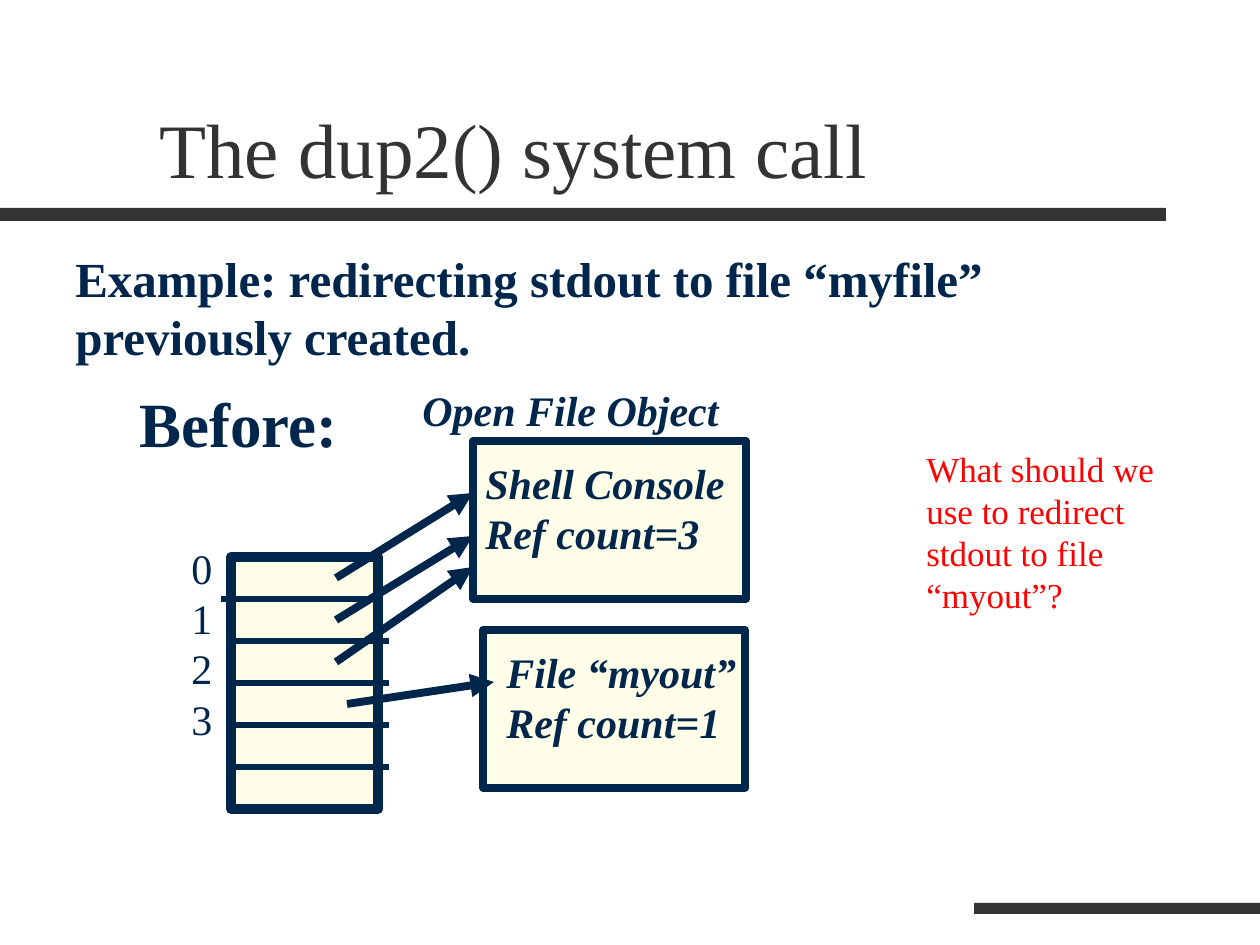
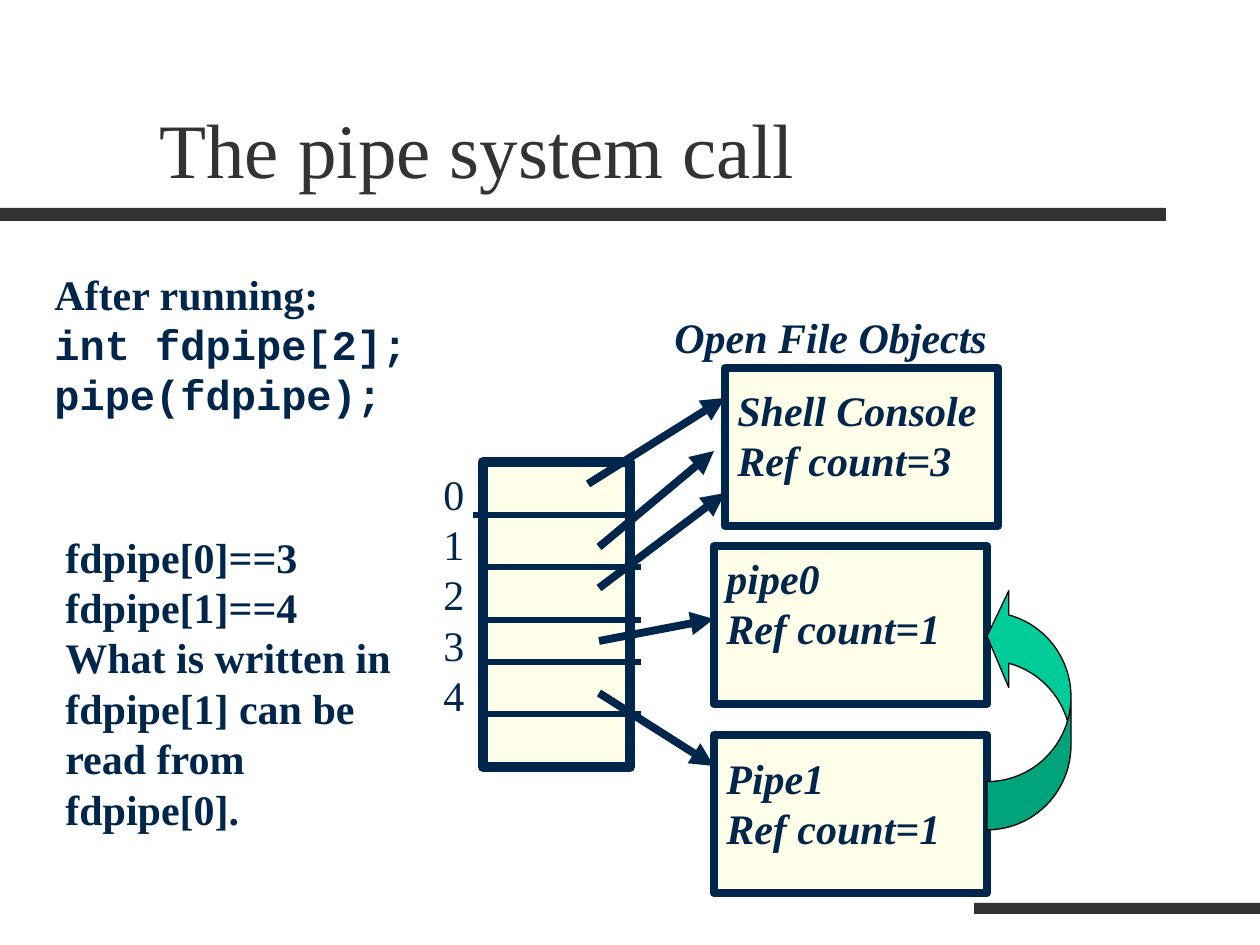
from lxml import etree
from pptx import Presentation
from pptx.dml.color import RGBColor
from pptx.enum.shapes import MSO_CONNECTOR, MSO_SHAPE
from pptx.enum.text import MSO_ANCHOR, PP_ALIGN
from pptx.oxml.ns import qn
from pptx.util import Emu, Pt

PX = 914400 / 126
NAVY = RGBColor(0x00, 0x26, 0x4C)
CREAM = RGBColor(0xFF, 0xFF, 0xE9)
GRAPHITE = RGBColor(0x33, 0x33, 0x33)
RED = RGBColor(0xFF, 0x00, 0x00)
GREEN = RGBColor(0x00, 0xCC, 0x99)
BLACK = RGBColor(0x00, 0x00, 0x00)
SERIF, MONO = "Times New Roman", "Courier New"

# Text styles
BASE = {"name": SERIF, "size": Pt(24), "bold": False, "italic": False, "color": NAVY}
STYLES = {
    "title": {**BASE, "size": Pt(44), "color": GRAPHITE},
    "lead": {**BASE, "size": Pt(28), "bold": True},
    "stage": {**BASE, "size": Pt(36), "bold": True},
    "question": {**BASE, "size": Pt(20), "color": RED},
    "index": BASE,
    "note": {**BASE, "bold": True},
    "code": {**BASE, "bold": True, "name": MONO},
    "object": {**BASE, "bold": True, "italic": True},
}

# Shared geometry, in px
BANDS = [(0, 208, 1166, 13), (974, 903, 286, 11)]
TITLE_AREA = (147, 42, 1071, 158)
DESCRIPTOR_WIDTH, DIVIDER_WIDTH, DIVIDER_SHIFT = 147, 158, 10
OBJECT_HEIGHT, OBJECT_TEXT_SIZE = 158, (273, 140)

# Objects: left, top, width, text left, text top, lines
# Texts: area, list of (style, paragraph)
SLIDES = [
    {
        "title": "The dup2() system call",
        "descriptors": {"left": 231, "top": 557, "height": 252,
                        "dividers": [599 + 42 * row for row in range(5)]},
        "objects": [
            (473, 441, 273, 473, 451, ["Shell Console", "Ref count=3"]),
            (483, 630, 262, 494, 640, ["File “myout”", "Ref count=1"]),
        ],
        "arrows": [(336, 578, 473, 493), (336, 620, 473, 536),
                   (336, 662, 473, 567), (347, 704, 494, 682)],
        "texts": [
            ((410, 378, 325, 63), [("object", "Open File Object")]),
            ((127, 378, 231, 88), [("stage", "Before:")]),
            ((179, 536, 53, 214), [("index", "0 1 2 3")]),
            ((63, 242, 987, 131),
             [("lead", "Example: redirecting stdout to file “myfile” previously created.")]),
            ((914, 441, 262, 180),
             [("question", "What should we use to redirect stdout to file “myout”?")]),
        ],
    },
    {
        "title": "The pipe system call",
        "descriptors": {"left": 483, "top": 462, "height": 305,
                        "dividers": [515, 567, 620, 662, 714]},
        "objects": [
            (725, 368, 273, 725, 378, ["Shell Console", "Ref count=3"]),
            (714, 546, 273, 714, 546, ["pipe0", "Ref count=1"]),
            (714, 735, 273, 714, 746, ["Pipe1", "Ref count=1"]),
        ],
        "arrows": [(588, 484, 725, 398), (599, 547, 714, 451), (599, 588, 725, 493),
                   (599, 641, 714, 619), (599, 693, 714, 766)],
        "texts": [
            ((662, 305, 378, 63), [("object", "Open File Objects")]),
            ((42, 262, 378, 217), [("note", "After running:"),
                                   ("code", "int fdpipe[2];"),
                                   ("code", "pipe(fdpipe);")]),
            ((431, 462, 53, 265), [("index", "0 1 2 3 4")]),
            ((53, 525, 388, 368), [
                ("note", "fdpipe[0]==3"),
                ("note", "fdpipe[1]==4"),
                ("note", "What is written in fdpipe[1] can be read from fdpipe[0]."),
            ]),
        ],
        "flow": {"area": (987, 588, 84, 242), "adjustments": (0.575, 1.15, 0.259)},
    },
]


def emu(*lengths):
    return [Emu(round(length * PX)) for length in lengths]


def add_block(slide, area, fill, line=None, weight=0, preset=MSO_SHAPE.RECTANGLE):
    block = slide.shapes.add_shape(preset, *emu(*area))
    block.shadow.inherit = False
    block.fill.solid()
    block.fill.fore_color.rgb = fill
    if line is None:
        block.line.fill.background()
    else:
        block.line.color.rgb = line
        block.line.width = Pt(weight)
    return block


def add_stroke(slide, ends, weight, arrow=False):
    stroke = slide.shapes.add_connector(MSO_CONNECTOR.STRAIGHT, *emu(*ends))
    stroke.line.color.rgb = NAVY
    stroke.line.width = Pt(weight)
    if arrow:
        etree.SubElement(stroke.line._get_or_add_ln(), qn("a:tailEnd"), type="triangle")
    etree.SubElement(stroke._element.spPr, qn("a:effectLst"))


def add_text(slide, area, paragraphs, anchor=MSO_ANCHOR.TOP):
    frame = slide.shapes.add_textbox(*emu(*area)).text_frame
    frame.word_wrap = True
    frame.vertical_anchor = anchor
    for number, (style, words) in enumerate(paragraphs):
        paragraph = frame.add_paragraph() if number else frame.paragraphs[0]
        paragraph.alignment = PP_ALIGN.LEFT
        run = paragraph.add_run()
        run.text = words
        for key, value in STYLES[style].items():
            if key == "color":
                run.font.color.rgb = value
            else:
                setattr(run.font, key, value)
        if style != "title":
            paragraph.line_spacing = Pt(STYLES[style]["size"].pt * 1.2)


def add_frame(slide, title):
    for band in BANDS:
        add_block(slide, band, GRAPHITE)
    add_text(slide, TITLE_AREA, [("title", title)], MSO_ANCHOR.BOTTOM)


def add_descriptors(slide, left, top, height, dividers):
    add_block(slide, (left, top, DESCRIPTOR_WIDTH, height), CREAM, NAVY, 6)
    for row, y in enumerate(dividers):
        start = left if row else left - DIVIDER_SHIFT
        add_stroke(slide, (start, y, start + DIVIDER_WIDTH, y), 3)


def add_flow(slide, area, adjustments):
    flow = add_block(slide, area, GREEN, BLACK, 0.75, MSO_SHAPE.CURVED_LEFT_ARROW)
    for number, value in enumerate(adjustments):
        flow.adjustments[number] = value
    flow._element.spPr.find(qn("a:xfrm")).set("flipV", "1")


def main():
    deck = Presentation()
    deck.slide_width, deck.slide_height = emu(1260, 945)
    for content in SLIDES:
        slide = deck.slides.add_slide(deck.slide_layouts[6])
        add_frame(slide, content["title"])
        add_descriptors(slide, **content["descriptors"])
        # Open file objects
        for left, top, width, text_left, text_top, lines in content["objects"]:
            add_block(slide, (left, top, width, OBJECT_HEIGHT), CREAM, NAVY, 4.5)
            add_text(slide, (text_left, text_top, *OBJECT_TEXT_SIZE),
                     [("object", line) for line in lines])
        # References from descriptors to objects
        for ends in content["arrows"]:
            add_stroke(slide, ends, 4.5, arrow=True)
        for area, paragraphs in content["texts"]:
            add_text(slide, area, paragraphs)
        if "flow" in content:
            add_flow(slide, **content["flow"])
    deck.save("out.pptx")


if __name__ == "__main__":
    main()
